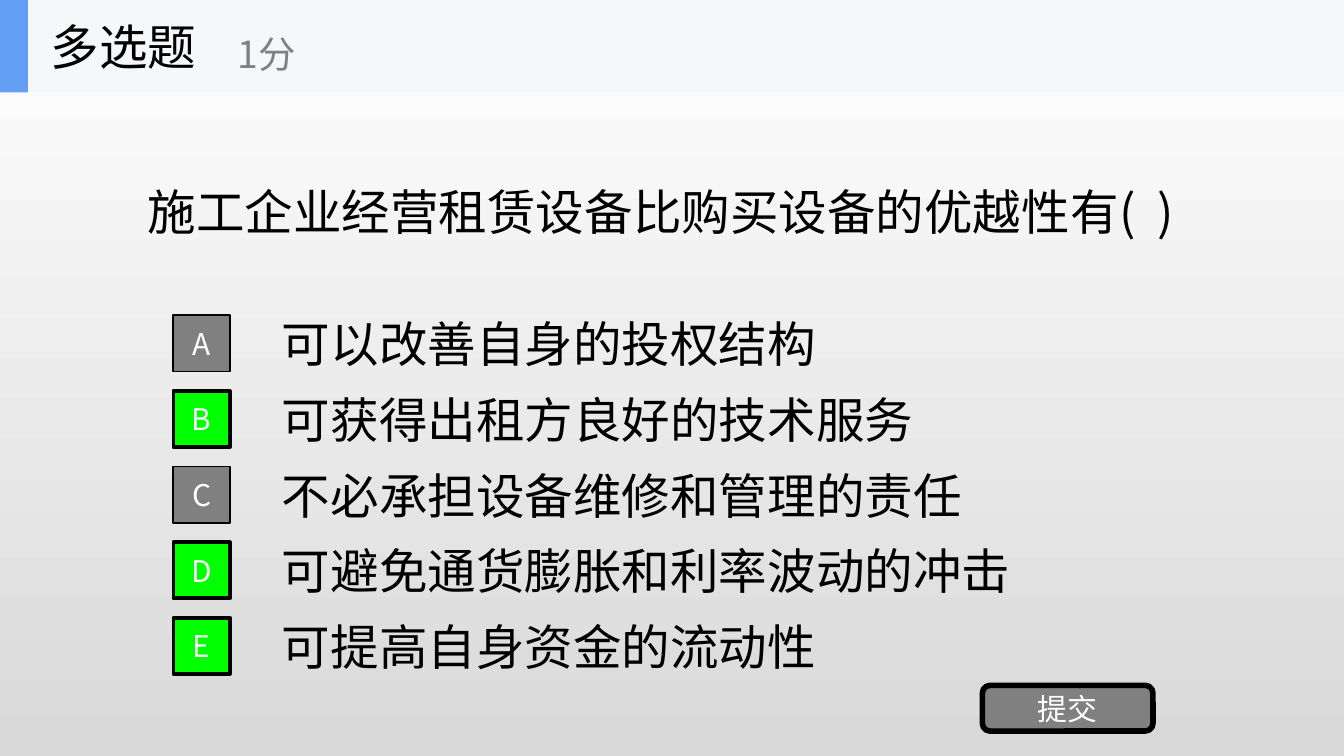
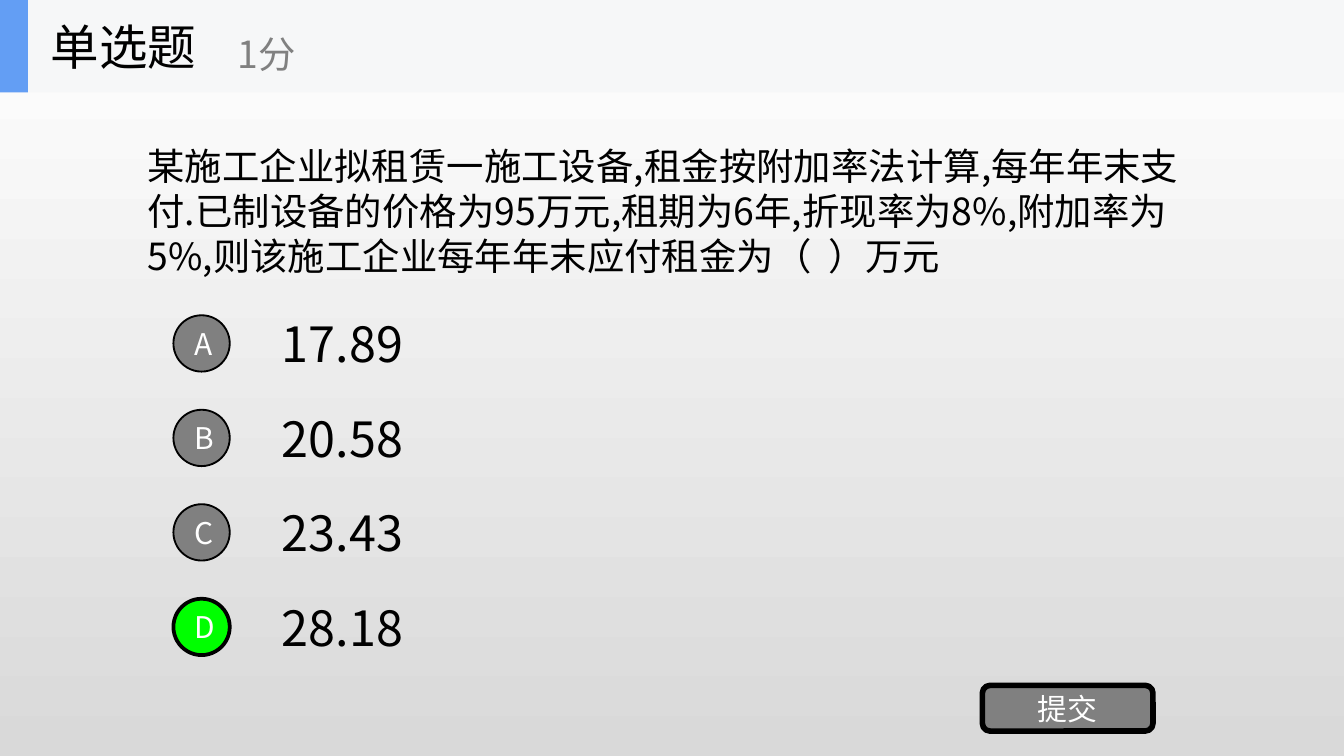
from lxml.etree import SubElement
from pptx import Presentation
from pptx.dml.color import RGBColor
from pptx.enum.shapes import MSO_SHAPE
from pptx.enum.text import MSO_ANCHOR, PP_ALIGN
from pptx.oxml.ns import qn
from pptx.util import Pt

FONT = "Noto Sans CJK SC"
COLORS = {
    "ink": "000000",
    "white": "FFFFFF",
    "shade": "D9D9D9",
    "gray": "808080",
    "correct": "00FF00",
    "band": "F6F7F8",
    "accent": "639EF4",
}
BAND_HEIGHT = 49.6
OPTIONS_TOP, OPTIONS_SPAN = 164.9, 202.5
OPTION_HEIGHT, BADGE_SIZE = 38.2, 30.2

QUESTIONS = [
    {
        "kind": "多选题",
        "badge": MSO_SHAPE.RECTANGLE,
        "question": "施工企业经营租赁设备比购买设备的优越性有(  )",
        "size": 26,
        "options": [
            "可以改善自身的投权结构",
            "可获得出租方良好的技术服务",
            "不必承担设备维修和管理的责任",
            "可避免通货膨胀和利率波动的冲击",
            "可提高自身资金的流动性",
        ],
        "answers": "BDE",
    },
    {
        "kind": "单选题",
        "badge": MSO_SHAPE.OVAL,
        "question": "某施工企业拟租赁一施工设备,租金按附加率法计算,每年年末支付."
                    "已制设备的价格为95万元,租期为6年,折现率为8%,"
                    "附加率为5%,则该施工企业每年年末应付租金为（  ）万元",
        "size": 20,
        "options": ["17.89", "20.58", "23.43", "28.18"],
        "answers": "D",
    },
]


def rgb(color):
    return RGBColor.from_string(COLORS[color])


class Quiz:
    def __init__(self):
        self.deck = Presentation()
        self.deck.slide_width, self.deck.slide_height = Pt(720), Pt(405)
        self.slide = None

    def new_slide(self):
        self.slide = self.deck.slides.add_slide(self.deck.slide_layouts[6])
        fill = self.slide.background.fill
        fill.gradient()
        fill.gradient_angle = 270
        for stop, color in zip(fill.gradient_stops, ("white", "shade")):
            stop.color.rgb = rgb(color)

    def set_words(self, frame, words, size, color, wrap=True, align=PP_ALIGN.LEFT):
        for name, value in {"word_wrap": wrap, "vertical_anchor": MSO_ANCHOR.MIDDLE}.items():
            setattr(frame, name, value)
        paragraph = frame.paragraphs[0]
        paragraph.alignment = align
        run = paragraph.add_run()
        run.text = words
        for name, value in {"size": Pt(size), "name": FONT}.items():
            setattr(run.font, name, value)
        run.font.color.rgb = rgb(color)
        SubElement(run._r.get_or_add_rPr(), qn("a:ea"), typeface=FONT)

    def text(self, box, words, size, color="ink", wrap=True, parent=None):
        label = (parent or self.slide).shapes.add_textbox(*map(Pt, box))
        self.set_words(label.text_frame, words, size, color, wrap)

    def block(self, kind, box, color, border=0, words="", parent=None):
        block = (parent or self.slide).shapes.add_shape(kind, *map(Pt, box))
        block.shadow.inherit = False
        block.fill.solid()
        block.fill.fore_color.rgb = rgb(color)
        if border:
            block.line.color.rgb = rgb("ink")
            block.line.width = Pt(border)
        else:
            block.line.fill.background()
        if words:
            self.set_words(block.text_frame, words, 16, "white", align=PP_ALIGN.CENTER)

    def options(self, options, answers, badge):
        pitch = OPTIONS_SPAN / len(options)
        for row, (letter, option) in enumerate(zip("ABCDE", options)):
            top = OPTIONS_TOP + row * pitch
            self.text((144, top, 504, OPTION_HEIGHT), option, 26)
            badge_top = top + (OPTION_HEIGHT - BADGE_SIZE) / 2
            color, border = ("correct", 2) if letter in answers else ("gray", 1)
            self.block(badge, (92.9, badge_top, BADGE_SIZE, BADGE_SIZE), color, border, letter)

    def submit(self):
        self.block(MSO_SHAPE.ROUNDED_RECTANGLE, (526.3, 367.2, 91.4, 24.5), "gray", 3, "提交")

    def header(self, kind):
        header = self.slide.shapes.add_group_shape()
        for width, color in ((720, "band"), (15, "accent")):
            self.block(MSO_SHAPE.RECTANGLE, (0, 0, width, BAND_HEIGHT), color, parent=header)
        self.text((20.2, 0, 150, BAND_HEIGHT), kind, 26, wrap=False, parent=header)
        self.text((120.2, 8.6, 180, 40.3), "1分", 20, "gray", wrap=False, parent=header)


def main():
    quiz = Quiz()
    for item in QUESTIONS:
        quiz.new_slide()
        quiz.text((72, BAND_HEIGHT, 576, 126.7), item["question"], item["size"])
        quiz.options(item["options"], item["answers"], item["badge"])
        quiz.submit()
        quiz.header(item["kind"])
    quiz.deck.save("out.pptx")


if __name__ == "__main__":
    main()
